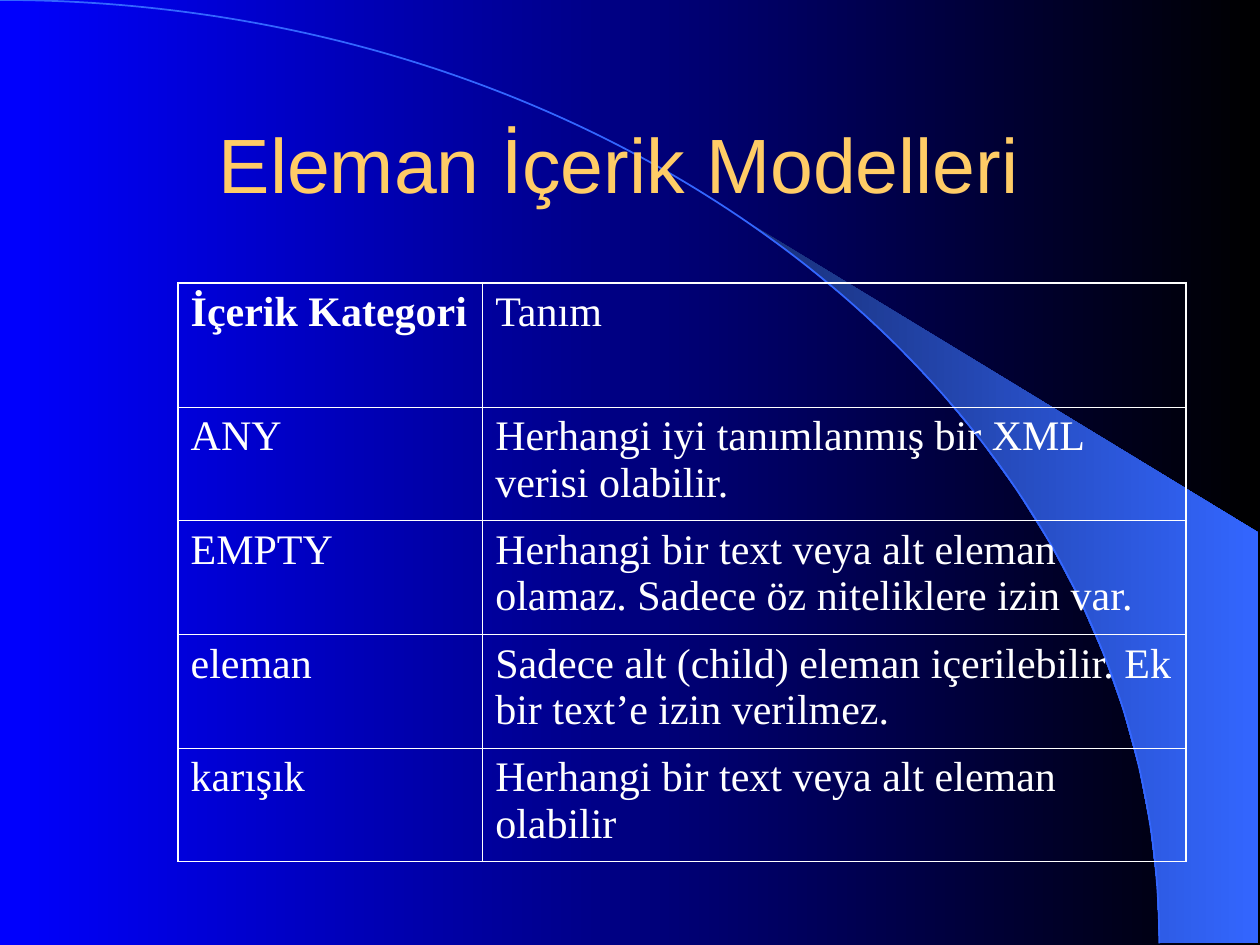
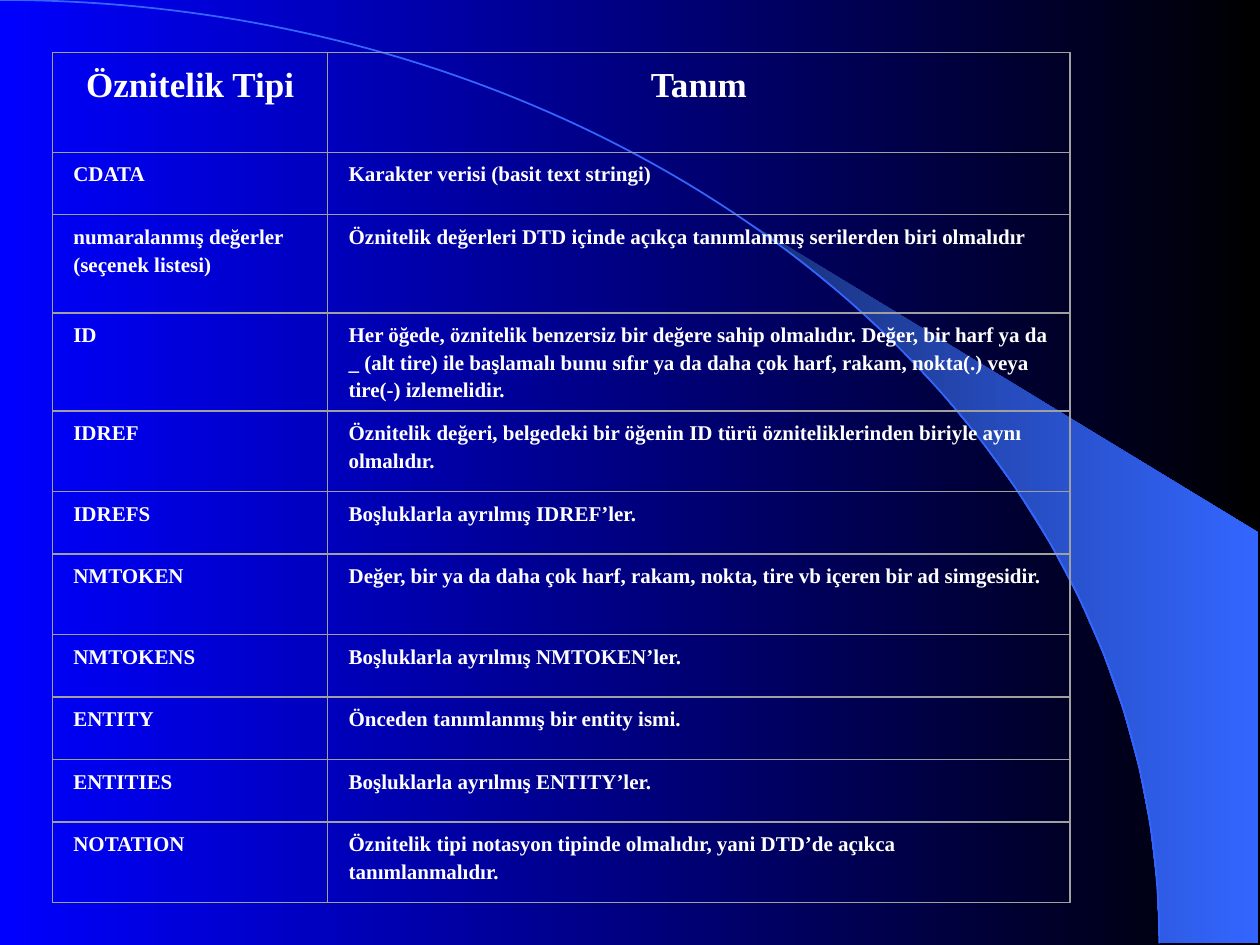
"""Build two slides on XML element content models and attribute types."""
from itertools import accumulate
from math import asin, cos, pi, sin

from lxml import etree
from pptx import Presentation
from pptx.dml.color import RGBColor
from pptx.enum.shapes import MSO_SHAPE
from pptx.enum.text import MSO_ANCHOR, PP_ALIGN
from pptx.oxml.ns import qn
from pptx.util import Cm, Pt

CENTER, LEFT = PP_ALIGN.CENTER, PP_ALIGN.LEFT
MIDDLE = MSO_ANCHOR.MIDDLE
RECTANGLE = MSO_SHAPE.RECTANGLE

WHITE, GOLD, GREY, SKY = "FFFFFF", "FFCC66", "A0A0A0", "3366FF"
BACKGROUND = ("0000FF", "000000")
WEDGE = ("182F76", SKY)
PAGE_WIDTH, PAGE_HEIGHT = 25.4, 19.05
ARC_WIDTH, ARC_HEIGHT = 23.37, 19.02
ARC_CURVE = [(12.9, 0), (ARC_WIDTH, 8.51), (ARC_WIDTH, ARC_HEIGHT)]
WEDGE_START, WEDGE_STEPS = asin(0.64), 14
WEDGE_CORNERS = [(25.37, 19.02), (25.37, 10.74)]

TITLE = "Eleman İçerik Modelleri "
CONTENT_MODELS = [
    ("İçerik Kategori", "Tanım"),
    ("ANY", "Herhangi iyi tanımlanmış bir XML verisi olabilir."),
    ("EMPTY", "Herhangi bir text veya alt eleman olamaz. Sadece öz niteliklere izin var."),
    ("eleman", "Sadece alt (child) eleman içerilebilir. Ek bir text’e izin verilmez."),
    ("karışık", "Herhangi bir text veya alt eleman olabilir"),
]
MODEL_LEFT, MODEL_TOP = 3.59, 5.7
MODEL_WIDTHS, MODEL_HEIGHTS = (6.14, 14.18), [2.51] + [2.29] * 4
OUTER_LINE, INNER_LINE = 1.08, 0.45

TALL, MEDIUM, SHORT = 1.98, 1.62, 1.26
ATTRIBUTE_TYPES = [
    (2.01, "Öznitelik Tipi", "Tanım"),
    (SHORT, "CDATA", "Karakter verisi (basit text stringi)"),
    (TALL, "numaralanmış değerler\n(seçenek listesi)",
     "Öznitelik değerleri DTD içinde açıkça tanımlanmış serilerden biri olmalıdır"),
    (TALL, "ID", "Her öğede, öznitelik benzersiz bir değere sahip olmalıdır. Değer, bir "
                 "harf ya da _ (alt tire) ile başlamalı bunu sıfır ya da daha çok harf, "
                 "rakam, nokta(.) veya tire(-) izlemelidir."),
    (MEDIUM, "IDREF", "Öznitelik değeri, belgedeki bir öğenin ID türü özniteliklerinden "
                      "biriyle aynı olmalıdır."),
    (SHORT, "IDREFS", "Boşluklarla ayrılmış IDREF’ler."),
    (MEDIUM, "NMTOKEN", "Değer, bir ya da daha çok harf, rakam, nokta, tire vb içeren bir "
                        "ad simgesidir."),
    (SHORT, "NMTOKENS", "Boşluklarla ayrılmış NMTOKEN’ler."),
    (SHORT, "ENTITY", "Önceden tanımlanmış bir entity ismi."),
    (SHORT, "ENTITIES", "Boşluklarla ayrılmış ENTITY’ler."),
    (MEDIUM, "NOTATION", "Öznitelik tipi notasyon tipinde olmalıdır, yani DTD’de açıkca "
                         "tanımlanmalıdır."),
]
TYPE_LEFT, TYPE_TOP = 1.06, 1.06
TYPE_WIDTHS, TEXT_GAP = (5.55, 14.96), 0.17


def color(value):
    return RGBColor.from_string(value)


def assign(target, **values):
    for name, value in values.items():
        setattr(target, name, value)


def write(frame, text, size, face="Times New Roman", ink=WHITE, bold=False,
          align=LEFT, spacing=1.0):
    frame.text = text
    frame.word_wrap = True
    for para in frame.paragraphs:
        assign(para, alignment=align, line_spacing=spacing)
        for span in para.runs:
            assign(span.font, name=face, size=Pt(size), bold=bold)
            span.font.color.rgb = color(ink)


def fill_gradient(fill, colors):
    fill.gradient()
    fill.gradient_angle = 0
    for stop, value in zip(fill.gradient_stops, colors):
        stop.color.rgb = color(value)


def outline(shape, ink, width):
    shape.shadow.inherit = False
    shape.fill.background()
    shape.line.color.rgb = color(ink)
    shape.line.width = Pt(width)


def add_freeform(page, points, close):
    first, *others = [(Cm(x), Cm(y)) for x, y in points]
    builder = page.shapes.build_freeform(*first)
    builder.add_line_segments(others, close=close)
    return builder.convert_to_shape()


def add_wedge(page):
    step = (pi / 2 - WEDGE_START) / WEDGE_STEPS
    angles = [WEDGE_START + step * number for number in range(WEDGE_STEPS + 1)]
    edge = [(ARC_WIDTH * sin(angle), ARC_HEIGHT * (1 - cos(angle))) for angle in angles]
    wedge = add_freeform(page, edge + WEDGE_CORNERS, True)
    wedge.shadow.inherit = False
    fill_gradient(wedge.fill, WEDGE)
    wedge.line.fill.background()


def add_arc(page):
    arc = add_freeform(page, [(0, 0), ARC_CURVE[-1]], False)
    segment = next(arc._element.iter(qn("a:lnTo")))
    curve = etree.SubElement(segment.getparent(), qn("a:cubicBezTo"))
    for x, y in ARC_CURVE:
        etree.SubElement(curve, qn("a:pt"), x=str(Cm(x)), y=str(Cm(y)))
    segment.getparent().remove(segment)
    outline(arc, SKY, 1)


def add_page(deck):
    page = deck.slides.add_slide(deck.slide_layouts[6])
    fill_gradient(page.background.fill, BACKGROUND)
    add_wedge(page)
    add_arc(page)
    return page


def set_border(cell, side, width):
    properties = cell._tc.get_or_add_tcPr()
    line = etree.SubElement(properties, qn("a:ln" + side), w=str(Pt(width)))
    fill = etree.SubElement(line, qn("a:solidFill"))
    etree.SubElement(fill, qn("a:srgbClr"), val=WHITE)


def add_model_table(page):
    last_row, last_column = len(MODEL_HEIGHTS) - 1, len(MODEL_WIDTHS) - 1
    table = page.shapes.add_table(
        len(MODEL_HEIGHTS), len(MODEL_WIDTHS), Cm(MODEL_LEFT), Cm(MODEL_TOP),
        Cm(sum(MODEL_WIDTHS)), Cm(sum(MODEL_HEIGHTS))).table
    assign(table, first_row=False, horz_banding=False)
    for column, width in zip(table.columns, MODEL_WIDTHS):
        column.width = Cm(width)
    for row, height in zip(table.rows, MODEL_HEIGHTS):
        row.height = Cm(height)
    for r, texts in enumerate(CONTENT_MODELS):
        for c, text in enumerate(texts):
            cell = table.cell(r, c)
            edges = {"L": c == 0, "R": c == last_column, "T": r == 0, "B": r == last_row}
            for side, outside in edges.items():
                set_border(cell, side, OUTER_LINE if outside else INNER_LINE)
            cell.fill.background()
            write(cell.text_frame, text, 24, bold=r == c == 0)


def add_frame(page, left, top, width, height, line_width):
    frame = page.shapes.add_shape(RECTANGLE, Cm(left), Cm(top), Cm(width), Cm(height))
    outline(frame, GREY, line_width)


def add_type_grid(page):
    heights = [row[0] for row in ATTRIBUTE_TYPES]
    tops = accumulate(heights, initial=TYPE_TOP)
    for number, (top, (height, *texts)) in enumerate(zip(tops, ATTRIBUTE_TYPES)):
        style = {"size": 12} if number else {"size": 20, "align": CENTER}
        lefts = accumulate(TYPE_WIDTHS, initial=TYPE_LEFT)
        for left, width, text in zip(lefts, TYPE_WIDTHS, texts):
            box = page.shapes.add_textbox(Cm(left + TEXT_GAP), Cm(top),
                                          Cm(width - 2 * TEXT_GAP), Cm(height))
            write(box.text_frame, text, bold=True, spacing=1.1, **style)
            add_frame(page, left, top, width, height, 0)
    add_frame(page, TYPE_LEFT, TYPE_TOP, sum(TYPE_WIDTHS), sum(heights), 0.75)


def main():
    deck = Presentation()
    assign(deck, slide_width=Cm(PAGE_WIDTH), slide_height=Cm(PAGE_HEIGHT))

    page = add_page(deck)
    box = page.shapes.add_textbox(Cm(1.9), Cm(1.7), Cm(21.6), Cm(3.18))
    write(box.text_frame, TITLE, 44, face="Arial", ink=GOLD, align=CENTER)
    box.text_frame.vertical_anchor = MIDDLE
    add_model_table(page)

    add_type_grid(add_page(deck))
    deck.save("out.pptx")


if __name__ == "__main__":
    main()
